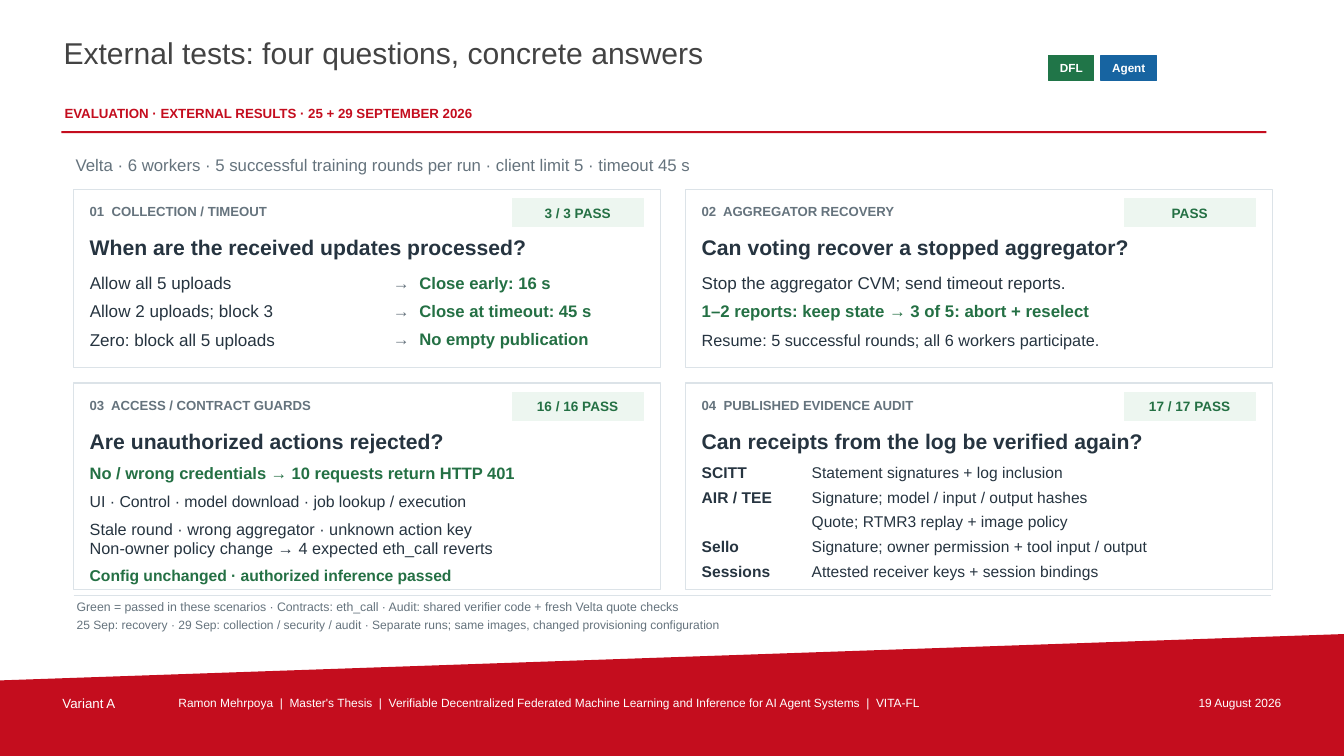
from dataclasses import dataclass

from lxml import etree
from pptx import Presentation
from pptx.dml.color import RGBColor
from pptx.enum.shapes import MSO_CONNECTOR, MSO_SHAPE
from pptx.enum.text import MSO_ANCHOR, MSO_AUTO_SIZE, PP_ALIGN
from pptx.oxml.ns import qn
from pptx.util import Inches, Pt

LEFT, CENTER, RIGHT = PP_ALIGN.LEFT, PP_ALIGN.CENTER, PP_ALIGN.RIGHT
TOP, MIDDLE = MSO_ANCHOR.TOP, MSO_ANCHOR.MIDDLE
RECT, STRAIGHT = MSO_SHAPE.RECTANGLE, MSO_CONNECTOR.STRAIGHT

FONT = "Arial"
RED, WHITE, TITLE_GRAY = "C40D1E", "FFFFFF", "434343"
INK, GRAY, GREEN = "263440", "65737D", "247044"
BORDER, MINT = "DCE3E8", "EDF6F0"
SLIDE_W, SLIDE_H = 13.33, 7.5
CARD_W, PAD = 5.82, 0.16
COLUMNS, ROWS, HEIGHTS = (0.73, 6.8), (1.88, 3.8), (1.77, 2.05)
INNER_W = CARD_W - 2 * PAD


@dataclass
class Text:
    """A line of text; inside a card, left and top count from the card's text edge and top."""
    left: float
    top: float
    width: float
    height: float
    text: str
    size: float
    color: str = INK
    bold: bool = False
    align: PP_ALIGN = LEFT
    anchor: MSO_ANCHOR = MIDDLE
    inset: float = 0


@dataclass
class Card:
    label: str
    result: str
    question: str
    lines: list[Text]


@dataclass
class Chip:
    left: float
    width: float
    text: str
    color: str


def rgb(color: str) -> RGBColor:
    return RGBColor.from_string(color)


def write(sp, t: Text) -> None:
    """Fill a shape's text frame with the text and its format."""
    tf = sp.text_frame
    tf.word_wrap = True
    tf.auto_size = MSO_AUTO_SIZE.NONE
    tf.vertical_anchor = t.anchor
    tf.margin_left = tf.margin_right = tf.margin_top = tf.margin_bottom = Inches(t.inset)
    p = tf.paragraphs[0]
    p.text = t.text
    p.alignment = t.align
    p.font.name, p.font.size, p.font.bold = FONT, Pt(t.size), t.bold
    p.font.color.rgb = rgb(t.color)


def add_text(shapes, t: Text, x: float = 0, y: float = 0) -> None:
    sp = shapes.add_textbox(Inches(x + t.left), Inches(y + t.top), Inches(t.width), Inches(t.height))
    write(sp, t)


def paint(sp, fill: str, line: str | None = None, weight: float = 0.8) -> None:
    sp.shadow.inherit = False
    sp.fill.solid()
    sp.fill.fore_color.rgb = rgb(fill)
    if line:
        sp.line.color.rgb = rgb(line)
        sp.line.width = Pt(weight)
    else:
        sp.line.fill.background()


def add_rect(shapes, left: float, top: float, width: float, height: float,
             fill: str, line: str | None = None):
    sp = shapes.add_shape(RECT, Inches(left), Inches(top), Inches(width), Inches(height))
    paint(sp, fill, line)
    return sp


def add_badge(shapes, left: float, top: float, width: float, height: float,
              fill: str, text: str, size: float, color: str) -> None:
    sp = add_rect(shapes, left, top, width, height, fill, fill)
    write(sp, Text(left, top, width, height, text, size, color, True, CENTER))


def add_card(shapes, card: Card, left: float, top: float, height: float) -> None:
    add_rect(shapes, left, top, CARD_W, height, WHITE, BORDER)
    add_badge(shapes, left + 4.35, top + 0.09, 1.3, 0.28, MINT, card.result, 9.7, GREEN)
    head = [Text(0, 0.11, 4.07, 0.22, card.label, 9.4, GRAY, True),
            Text(0, 0.42, INNER_W, 0.31, card.question, 15.1, INK, True)]
    for t in head + card.lines:
        add_text(shapes, t, left + PAD, top)


def outcome_lines() -> list[Text]:
    outcomes = [("Allow all 5 uploads", "Close early: 16 s"),
                ("Allow 2 uploads; block 3", "Close at timeout: 45 s"),
                ("Zero: block all 5 uploads", "No empty publication")]
    lines = []
    for i, (case, outcome) in enumerate(outcomes):
        top = 0.8 + 0.28 * i
        lines += [Text(0, top, 2.95, 0.25, case, 12.2),
                  Text(2.98, top, 0.22, 0.25, "→", 12, GRAY, align=CENTER),
                  Text(3.27, top, 2.24, 0.25, outcome, 11.9, GREEN, True)]
    return lines


def audit_lines() -> list[Text]:
    checks = [("SCITT", "Statement signatures + log inclusion"),
              ("AIR / TEE", "Signature; model / input / output hashes"),
              ("", "Quote; RTMR3 replay + image policy"),
              ("Sello", "Signature; owner permission + tool input / output"),
              ("Sessions", "Attested receiver keys + session bindings")]
    lines = []
    for i, (source, check) in enumerate(checks):
        top = 0.77 + 0.245 * i
        if source:
            lines.append(Text(0, top, 1.01, 0.23, source, 11.1, INK, True))
        lines.append(Text(1.09, top, 4.41, 0.23, check, 11.1))
    return lines


CARDS = [
    Card("01  COLLECTION / TIMEOUT", "3 / 3 PASS",
         "When are the received updates processed?", outcome_lines()),
    Card("02  AGGREGATOR RECOVERY", "PASS", "Can voting recover a stopped aggregator?", [
        Text(0, 0.79, INNER_W, 0.26, "Stop the aggregator CVM; send timeout reports.", 12.2),
        Text(0, 1.07, INNER_W, 0.26,
             "1–2 reports: keep state → 3 of 5: abort + reselect", 12, GREEN, True),
        Text(0, 1.37, INNER_W, 0.25,
             "Resume: 5 successful rounds; all 6 workers participate.", 11.6)]),
    Card("03  ACCESS / CONTRACT GUARDS", "16 / 16 PASS", "Are unauthorized actions rejected?", [
        Text(0, 0.77, INNER_W, 0.25,
             "No / wrong credentials → 10 requests return HTTP 401", 11.8, GREEN, True),
        Text(0, 1.05, INNER_W, 0.24,
             "UI · Control · model download · job lookup / execution", 11.3),
        Text(0, 1.31, INNER_W, 0.47, "Stale round · wrong aggregator · unknown action key\n"
             "Non-owner policy change → 4 expected eth_call reverts", 11.6),
        Text(0, 1.81, INNER_W, 0.2,
             "Config unchanged · authorized inference passed", 11.2, GREEN, True)]),
    Card("04  PUBLISHED EVIDENCE AUDIT", "17 / 17 PASS",
         "Can receipts from the log be verified again?", audit_lines()),
]

CHIPS = [Chip(10.4, 0.45, "DFL", "207548"), Chip(10.92, 0.55, "Agent", "1764A1")]

TITLE = Text(0.61, 0.32, 9.65, 0.62, "External tests: four questions, concrete answers",
             21.5, TITLE_GRAY, anchor=TOP, inset=0.02)

SLIDE_TEXTS = [
    Text(0.62, 1.02, 9.7, 0.22, "EVALUATION · EXTERNAL RESULTS · 25 + 29 SEPTEMBER 2026",
         9.5, RED, True, anchor=TOP, inset=0.02),
    Text(0.75, 1.49, 11.84, 0.28, "Velta · 6 workers · 5 successful training rounds per run"
         " · client limit 5 · timeout 45 s", 12, GRAY),
    Text(0.76, 5.93, 11.81, 0.18, "Green = passed in these scenarios · Contracts: eth_call"
         " · Audit: shared verifier code + fresh Velta quote checks", 8.8, GRAY),
    Text(0.76, 6.11, 11.81, 0.17, "25 Sep: recovery · 29 Sep: collection / security / audit"
         " · Separate runs; same images, changed provisioning configuration", 8.6, GRAY),
    Text(0.6, 6.88, 1.1, 0.22, "Variant A", 9.5, WHITE, anchor=TOP, inset=0.02),
    Text(1.75, 6.88, 9.35, 0.22, "Ramon Mehrpoya  |  Master's Thesis  |  Verifiable Decentralized"
         " Federated Machine Learning and Inference for AI Agent Systems  |  VITA-FL",
         8.5, WHITE, anchor=TOP, inset=0.02),
    Text(11.2, 6.88, 1.53, 0.22, "19 August 2026", 8.5, WHITE,
         align=RIGHT, anchor=TOP, inset=0.02),
]


def add_footer_band(shapes) -> None:
    builder = shapes.build_freeform(0, Inches(6.75))
    corners = [(SLIDE_W, 6.29), (SLIDE_W, SLIDE_H), (0, SLIDE_H)]
    builder.add_line_segments([(Inches(x), Inches(y)) for x, y in corners], close=True)
    paint(builder.convert_to_shape(), RED)


def add_note_rule(shapes) -> None:
    rule = shapes.add_connector(STRAIGHT, Inches(0.73), Inches(5.91), Inches(12.61), Inches(5.91))
    rule.line.color.rgb = rgb(BORDER)
    rule.line.width = Pt(0.7)
    etree.SubElement(rule._element.spPr, qn("a:effectLst"))


def main() -> None:
    prs = Presentation()
    prs.slide_width, prs.slide_height = Inches(SLIDE_W), Inches(SLIDE_H)
    slide = prs.slides.add_slide(prs.slide_layouts[5])
    shapes = slide.shapes

    title = shapes.title
    title.left, title.top = Inches(TITLE.left), Inches(TITLE.top)
    title.width, title.height = Inches(TITLE.width), Inches(TITLE.height)
    write(title, TITLE)

    add_footer_band(shapes)
    add_rect(shapes, 0.61, 1.3, 11.95, 0.02, RED)
    for chip in CHIPS:
        add_badge(shapes, chip.left, 0.55, chip.width, 0.25, chip.color, chip.text, 8.4, WHITE)
    for i, card in enumerate(CARDS):
        row, column = divmod(i, 2)
        add_card(shapes, card, COLUMNS[column], ROWS[row], HEIGHTS[row])
    add_note_rule(shapes)
    for t in SLIDE_TEXTS:
        add_text(shapes, t)
    prs.save("out.pptx")


if __name__ == "__main__":
    main()
